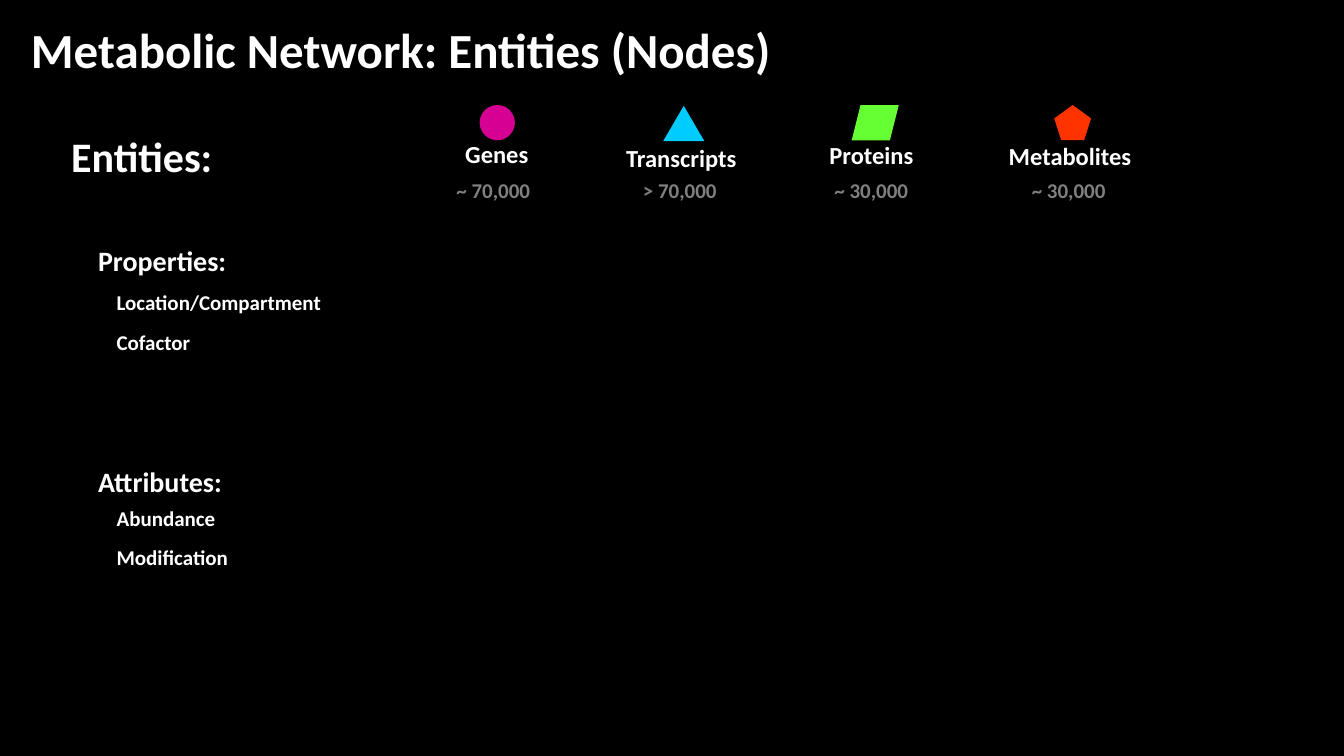
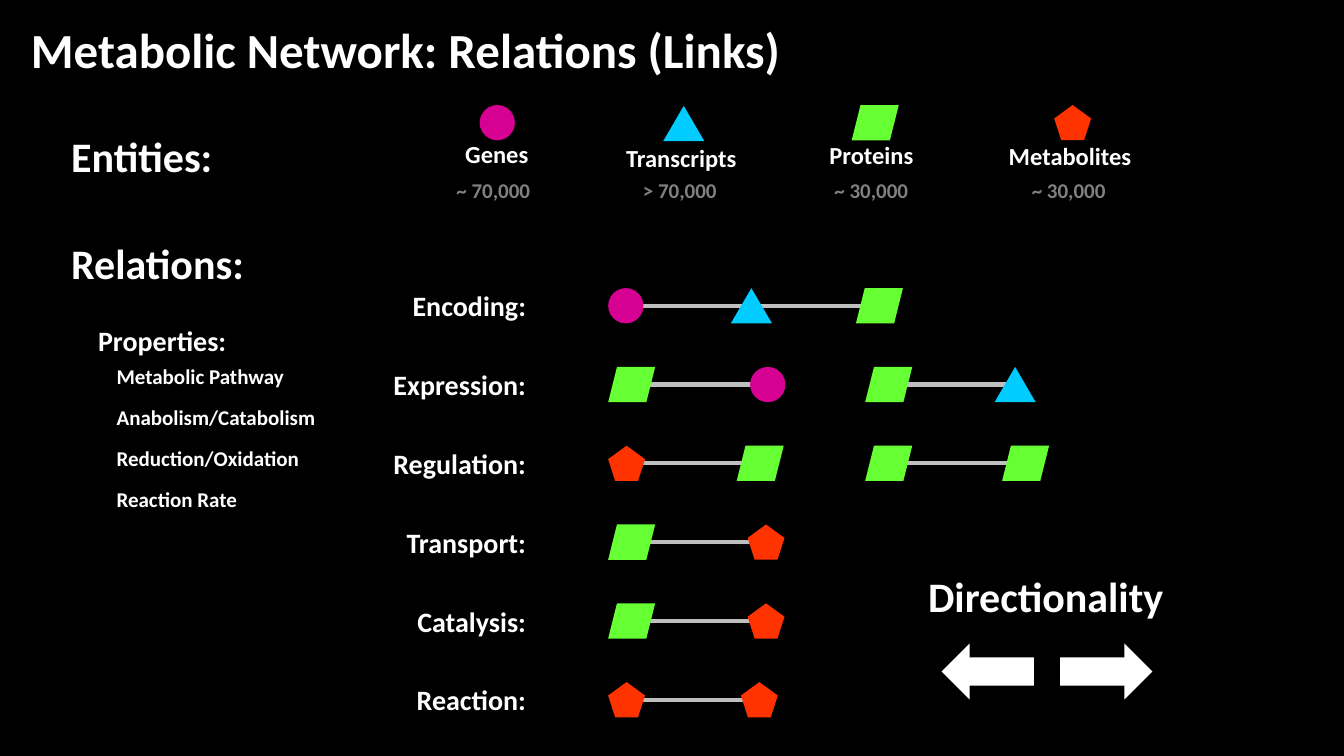
from dataclasses import dataclass
from itertools import pairwise

from pptx import Presentation
from pptx.dml.color import RGBColor
from pptx.enum.shapes import MSO_CONNECTOR, MSO_SHAPE
from pptx.enum.text import PP_ALIGN
from pptx.oxml.ns import qn
from pptx.util import Inches, Pt
from lxml.etree import SubElement


@dataclass(frozen=True)
class Theme:
    face: str = "Calibri"
    back: str = "000000"
    ink: str = "FFFFFF"
    dim: str = "808080"
    link: str = "BFBFBF"
    title: float = 35
    head: float = 30
    sub: float = 20
    name: float = 17.5
    note: float = 15
    line: float = 3


THEME = Theme()
WIDE, HIGH = Inches(13.333), Inches(7.5)
COLS, ROWS = 160, 90
TALL = 4.2
SPAN = 40

NODES = {
    "gene": (MSO_SHAPE.OVAL, 4.2, "D60093"),
    "script": (MSO_SHAPE.ISOSCELES_TRIANGLE, 4.9, "00CCFF"),
    "protein": (MSO_SHAPE.PARALLELOGRAM, 5.6, "66FF33"),
    "metab": (MSO_SHAPE.REGULAR_PENTAGON, 4.4, "FF3300"),
}

LEGEND = [
    ("gene", 59.2, 12.5, "Genes", 10, 16, "~ 70,000"),
    ("script", 81.4, 12.6, "Transcripts", 16.1, 16.4, "> 70,000"),
    ("protein", 104.2, 12.5, "Proteins", 13.3, 16.1, "~ 30,000"),
    ("metab", 127.7, 12.5, "Metabolites", 17.6, 16.2, "~ 30,000"),
]

FIRST, NEXT = 72.4, 103
LINKS = [
    ("Encoding:", [[("gene", FIRST), ("script", 87), ("protein", 101.9)]]),
    ("Expression:", [[("protein", FIRST), ("gene", 89.3)],
                     [("protein", NEXT), ("script", 118.4)]]),
    ("Regulation:", [[("metab", FIRST), ("protein", 87.7)],
                     [("protein", NEXT), ("protein", 119.3)]]),
    ("Transport:", [[("protein", FIRST), ("metab", 89)]]),
    ("Catalysis:", [[("protein", FIRST), ("metab", 89)]]),
    ("Reaction:", [[("metab", FIRST), ("metab", 88.2)]]),
]


def col(count):
    return round(WIDE * count / COLS)


def row(count):
    return round(HIGH * count / ROWS)


def tint(code):
    return RGBColor.from_string(code)


def text(page, left, top, words, size, wide=SPAN, ink=THEME.ink, side=PP_ALIGN.LEFT):
    box = page.shapes.add_textbox(col(left), row(top), col(wide), row(size / 5 + 1.2))
    box.text_frame.word_wrap = True
    para = box.text_frame.paragraphs[0]
    para.alignment = side
    run = para.add_run()
    run.text = words
    style = {"name": THEME.face, "size": Pt(size), "bold": True}
    for key, value in style.items():
        setattr(run.font, key, value)
    run.font.color.rgb = tint(ink)


def solid(page, kind, left, top, wide, tall, code):
    form = page.shapes.add_shape(kind, col(left), row(top), col(wide), row(tall))
    form.shadow.inherit = False
    form.fill.solid()
    form.fill.fore_color.rgb = tint(code)
    form.line.fill.background()


def node(page, key, left, top):
    kind, wide, code = NODES[key]
    solid(page, kind, left, top, wide, TALL, code)


def link(page, start, end, level):
    wire = page.shapes.add_connector(
        MSO_CONNECTOR.STRAIGHT, col(start), row(level), col(end), row(level))
    wire.line.color.rgb = tint(THEME.link)
    wire.line.width = Pt(THEME.line)
    SubElement(wire._element.spPr, qn("a:effectLst"))


def chain(page, nodes, top):
    mids = [left + NODES[key][1] / 2 for key, left in nodes]
    for start, end in pairwise(mids):
        link(page, start, end, top + TALL / 2)
    for key, left in nodes:
        node(page, key, left, top)


def legend(page):
    text(page, 7.3, 14.9, "Entities:", THEME.head)
    for key, mid, top, name, wide, base, count in LEGEND:
        node(page, key, mid - NODES[key][1] / 2, top)
        text(page, mid - wide / 2, base, name, THEME.name, wide + 1)
        text(page, mid - 6.05, 20.5, count, THEME.note, 13, THEME.dim)


def notes(page, head, top, items, start, step):
    text(page, 10.5, top, head, THEME.sub)
    for spot, item in enumerate(items):
        text(page, 12.7, start + spot * step, item, THEME.note, 30)


def links(page):
    text(page, 7.3, 27.7, "Relations:", THEME.head)
    for spot, (name, chains) in enumerate(LINKS):
        top = 34.3 + spot * 9.38
        text(page, 43.8, top - 0.5, name, THEME.sub, 20, side=PP_ALIGN.RIGHT)
        for nodes in chains:
            chain(page, nodes, top)


def arrows(page):
    text(page, 109.3, 67.3, "Directionality", THEME.head)
    for kind, left in ((MSO_SHAPE.LEFT_ARROW, 112.1), (MSO_SHAPE.RIGHT_ARROW, 126.2)):
        solid(page, kind, left, 76.6, 11, 6.7, THEME.ink)


def start(deck, title):
    page = deck.slides.add_slide(deck.slide_layouts[6])
    text(page, 2.5, 1.7, title, THEME.title, 149)
    legend(page)
    return page


def main():
    deck = Presentation()
    deck.slide_width, deck.slide_height = WIDE, HIGH
    fill = deck.slide_master.background.fill
    fill.solid()
    fill.fore_color.rgb = tint(THEME.back)

    page = start(deck, "Metabolic Network: Entities (Nodes)")
    notes(page, "Properties:", 28.4, ["Location/Compartment", "Cofactor"], 33.9, 4.75)
    notes(page, "Attributes:", 54.7, ["Abundance", "Modification"], 59.6, 4.6)

    page = start(deck, "Metabolic Network: Relations (Links)")
    links(page)
    notes(page, "Properties:", 37.9,
          ["Metabolic Pathway", "Anabolism/Catabolism", "Reduction/Oxidation", "Reaction Rate"],
          42.7, 4.88)
    arrows(page)
    deck.save("out.pptx")


if __name__ == "__main__":
    main()
